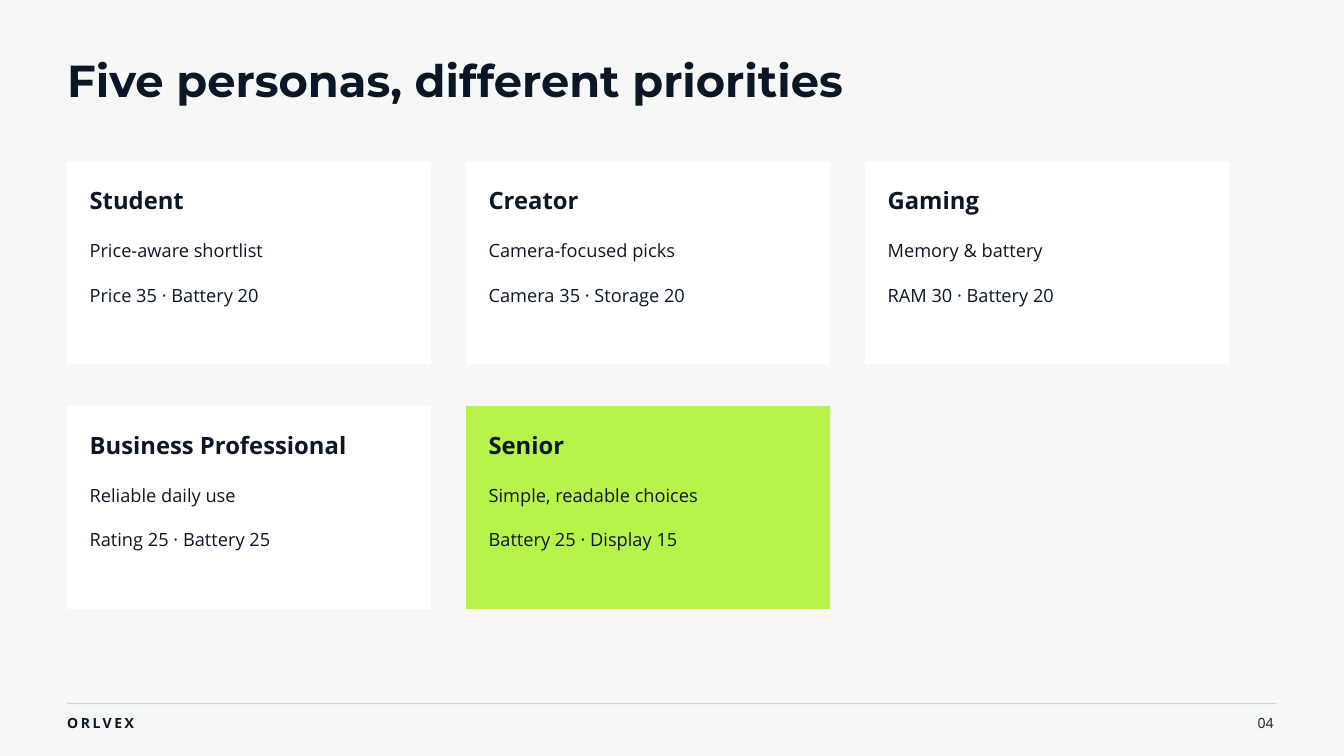
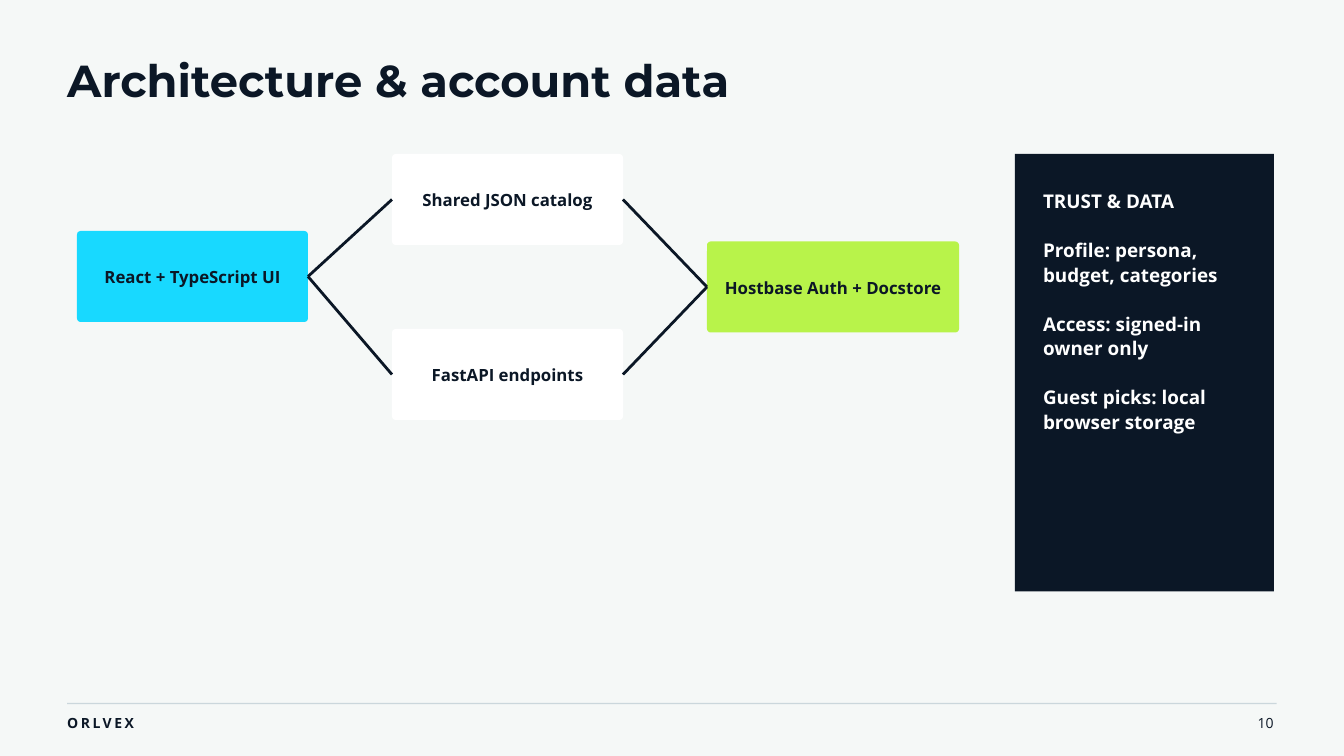
from pptx import Presentation
from pptx.dml.color import RGBColor
from pptx.enum import shapes, text
from pptx.oxml.ns import qn
from pptx.util import Pt
from lxml import etree

HUES = {"ink": "0B1726", "page": "F5F8F7", "white": "FFFFFF",
        "lime": "B8F34A", "cyan": "18D9FF", "rule": "CBD7DC"}
HEAD, BODY = "Montserrat", "Open Sans"
BRAND = "ORLVEX"

CARDS = [
    ("Student", "Price-aware shortlist", "Price 35 · Battery 20", "white"),
    ("Creator", "Camera-focused picks", "Camera 35 · Storage 20", "white"),
    ("Gaming", "Memory & battery", "RAM 30 · Battery 20", "white"),
    ("Business Professional", "Reliable daily use", "Rating 25 · Battery 25", "white"),
    ("Senior", "Simple, readable choices", "Battery 25 · Display 15", "lime"),
]
NODES = {
    "ui": ("React + TypeScript UI", "cyan", 82.5, 247.5, 247.5),
    "data": ("Shared JSON catalog", "white", 420, 165, 247.5),
    "api": ("FastAPI endpoints", "white", 420, 352.5, 247.5),
    "store": ("Hostbase Auth + Docstore", "lime", 757.5, 258.75, 270),
}
LINKS = [("ui", "data"), ("ui", "api"), ("data", "store"), ("api", "store")]
TRUST = ["TRUST & DATA", "Profile: persona, budget, categories",
         "Access: signed-in owner only", "Guest picks: local browser storage"]

EDGE = 72
COLS = 3
CARD_W, CARD_H = 390, 217.5
STEP_X, STEP_Y = 427.5, 262
PAD = 24
NODE_H = 97.5


def color(name):
    return RGBColor.from_string(HUES[name])


def write(frame, lines, size, lead, font=BODY, hue="ink", bold=False, align="LEFT",
          anchor="TOP", inset=(0, 0, 0, 0), gap=0, track=0):
    frame.word_wrap = True
    frame.auto_size = text.MSO_AUTO_SIZE.NONE
    frame.vertical_anchor = getattr(text.MSO_ANCHOR, anchor)
    (frame.margin_left, frame.margin_top,
     frame.margin_right, frame.margin_bottom) = map(Pt, inset)
    for i, line in enumerate(lines):
        para = frame.add_paragraph() if i else frame.paragraphs[0]
        para.alignment = getattr(text.PP_ALIGN, align)
        para.line_spacing = Pt(lead)
        para.space_before = Pt(gap if i else 0)
        run = para.add_run()
        run.text = line
        run.font.name = font
        run.font.size = Pt(size)
        run.font.bold = bold
        run.font.color.rgb = color(hue)
        if track:
            run._r.get_or_add_rPr().set("spc", str(round(track * 100)))


def label(slide, lines, x, y, w, h, **style):
    box = slide.shapes.add_textbox(Pt(x), Pt(y), Pt(w), Pt(h))
    write(box.text_frame, lines, **style)


def block(slide, hue, x, y, w, h, kind="RECTANGLE"):
    shape = slide.shapes.add_shape(getattr(shapes.MSO_SHAPE, kind),
                                   Pt(x), Pt(y), Pt(w), Pt(h))
    shape.shadow.inherit = False
    shape.fill.solid()
    shape.fill.fore_color.rgb = color(hue)
    shape.line.fill.background()
    return shape


def start(deck, title, page):
    slide = deck.slides.add_slide(deck.slide_layouts.get_by_name("Title Only"))
    head = slide.shapes.title
    head.left, head.top, head.width, head.height = map(Pt, (EDGE, 64.8, 1125, 49.5))
    write(head.text_frame, [title], size=48, lead=49, font=HEAD, bold=True)
    block(slide, "rule", EDGE, 753, 1296, 1.5)
    foot = {"size": 15, "lead": 21}
    label(slide, [BRAND], EDGE, 762.5, 195, 20, bold=True, track=2.7, **foot)
    label(slide, [page], 1304.5, 762.5, 60, 20, align="RIGHT", **foot)
    return slide


def personas(deck):
    slide = start(deck, "Five personas, different priorities", "04")
    for i, (name, need, score, hue) in enumerate(CARDS):
        row, col = divmod(i, COLS)
        x, y = EDGE + col * STEP_X, 172.8 + row * STEP_Y
        block(slide, hue, x, y, CARD_W, CARD_H)
        label(slide, [name], x + PAD, y + PAD, 338, 32.5, size=25.5, lead=33.1, bold=True)
        for line, drop in ((need, 82), (score, 129.6)):
            label(slide, [line], x + PAD, y + drop, 338, 24.5, size=19.5, lead=25.4)


def system(deck):
    slide = start(deck, "Architecture & account data", "10")
    made = {}
    for key, (name, hue, x, y, w) in NODES.items():
        node = block(slide, hue, x, y, w, NODE_H, "ROUNDED_RECTANGLE")
        node.adjustments[0] = 0.04
        write(node.text_frame, [name], size=18, lead=25.2, bold=True, align="CENTER",
              anchor="MIDDLE", inset=(4, 4, 4, 6))
        made[key] = node
    for one, two in LINKS:
        link = slide.shapes.add_connector(shapes.MSO_CONNECTOR.STRAIGHT, 0, 0, 0, 0)
        link.begin_connect(made[one], 3)
        link.end_connect(made[two], 1)
        link.line.width = Pt(3)
        link.line.color.rgb = color("ink")
        etree.SubElement(link._element.spPr, qn("a:effectLst"))
    block(slide, "ink", 1087.5, 165, 277.5, 468.75)
    label(slide, TRUST, 1117.5, 201, 217.5, 262, size=20.25, lead=26.3, hue="white",
          bold=True, gap=26.3)


def main():
    deck = Presentation()
    deck.slide_width, deck.slide_height = Pt(1440), Pt(810)
    back = deck.slide_master.background.fill
    back.solid()
    back.fore_color.rgb = color("page")
    personas(deck)
    system(deck)
    deck.save("out.pptx")


if __name__ == "__main__":
    main()
